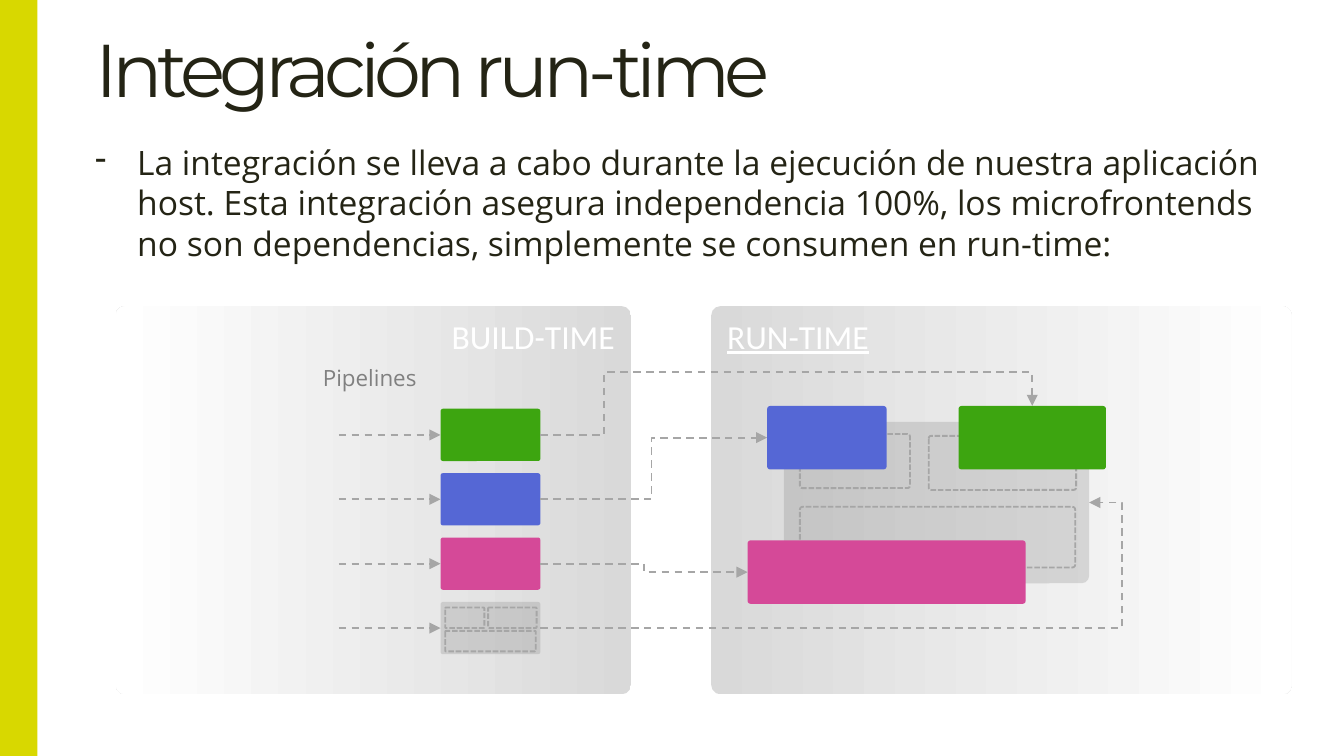
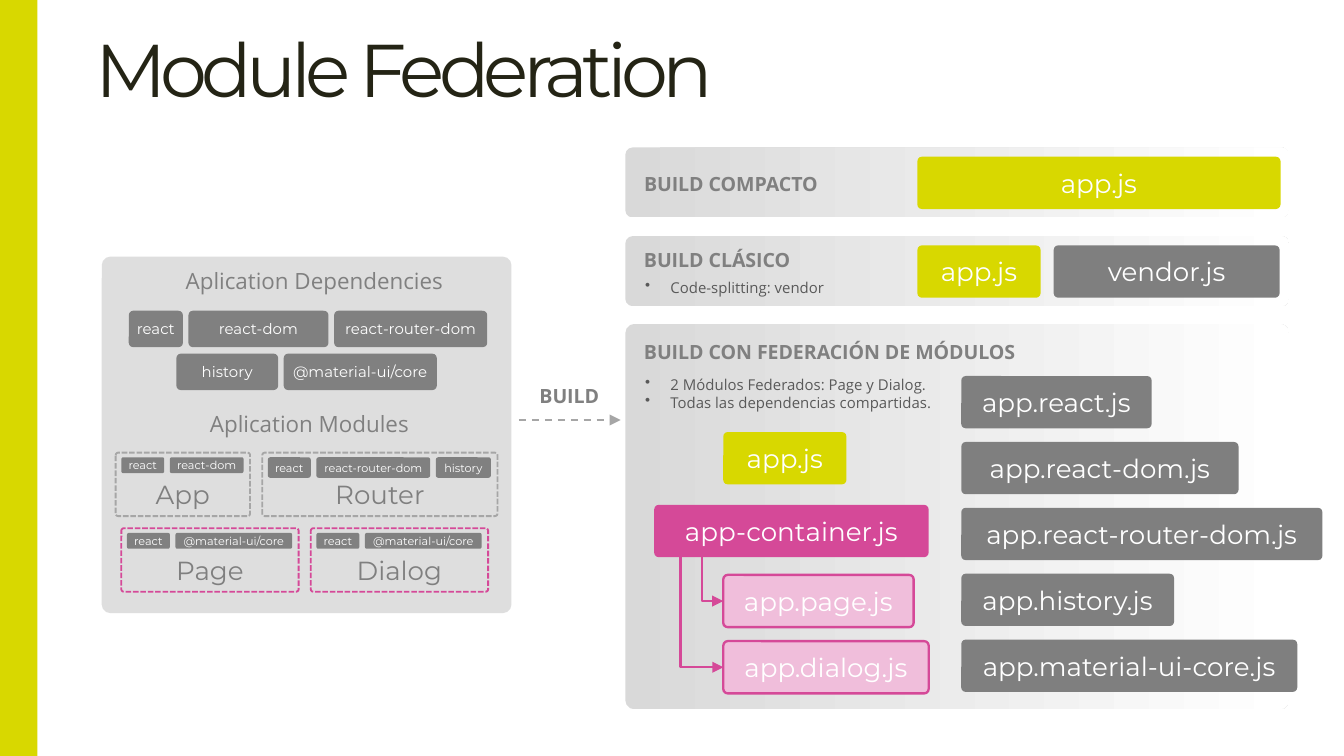
from lxml import etree
from pptx import Presentation
from pptx.dml.color import RGBColor
from pptx.enum import dml, shapes, text
from pptx.oxml.ns import qn
from pptx.util import Pt

WIDTH, HEIGHT = 720, 405
LIME, INK, WHITE = "D8D800", "242415", "FFFFFF"
GREEN, BLUE, PINK, PALE_PINK = "3DA510", "5567D5", "D54998", "F0BEDB"
GRAY, LABEL_GRAY, LINE_GRAY, NOTE_GRAY, PANEL_GRAY = "7F7F7F", "808080", "A6A6A6", "595959", "D9D9D9"
TITLE_FONT, BODY_FONT, PANEL_FONT = "Montserrat", "Open Sans", "Calibri"
DEFAULT_INSETS = (7.2, 3.6, 7.2, 3.6)
LABEL_INSETS = (6, 6, 6, 6)
TAG_INSETS = (3, 3, 3, 3)
ALIGN, ANCHOR = text.PP_ALIGN, text.MSO_ANCHOR


# Geometry
def color(hex_string):
    return RGBColor.from_string(hex_string)


def inside(box, left, top, width, height):
    return box[0] + left, box[1] + top, width, height


def left_middle(box):
    return box[0], box[1] + box[3] / 2


def right_middle(box):
    return box[0] + box[2], box[1] + box[3] / 2


def top_middle(box):
    return box[0] + box[2] / 2, box[1]


# Text
def set_frame(frame, anchor, insets):
    frame.vertical_anchor = anchor
    frame.margin_left, frame.margin_top, frame.margin_right, frame.margin_bottom = map(Pt, insets)


def add_run(paragraph, words, size, font, hex_string, bold=None, underline=None):
    run = paragraph.add_run()
    run.text = words
    run.font.size = Pt(size)
    run.font.name = font
    run.font.color.rgb = color(hex_string)
    run.font.bold = bold
    run.font.underline = underline
    return run


def add_label(slide, box, words, size=12, bold=None):
    shape = slide.shapes.add_textbox(*map(Pt, box))
    frame = shape.text_frame
    set_frame(frame, ANCHOR.MIDDLE, LABEL_INSETS)
    frame.word_wrap = False
    frame.auto_size = text.MSO_AUTO_SIZE.SHAPE_TO_FIT_TEXT
    add_run(frame.paragraphs[0], words, size, BODY_FONT, LABEL_GRAY, bold)


def add_bullets(slide, box, lines, size, hex_string, bullet, indent, insets):
    frame = slide.shapes.add_textbox(*map(Pt, box)).text_frame
    set_frame(frame, ANCHOR.TOP, insets)
    frame.word_wrap = True
    for index, line in enumerate(lines):
        paragraph = frame.add_paragraph() if index else frame.paragraphs[0]
        properties = paragraph._p.get_or_add_pPr()
        properties.set("marL", str(Pt(indent)))
        properties.set("indent", str(-Pt(indent)))
        etree.SubElement(properties, qn("a:buChar")).set("char", bullet)
        add_run(paragraph, line, size, BODY_FONT, hex_string)


# Boxes
def add_box(slide, box, fill=None, line=None, line_width=1, dashed=False, corner=0.047,
            alpha=None, kind=shapes.MSO_SHAPE.ROUNDED_RECTANGLE):
    shape = slide.shapes.add_shape(kind, *map(Pt, box))
    shape.shadow.inherit = False
    if len(shape.adjustments):
        shape.adjustments[0] = corner
    if fill:
        shape.fill.solid()
        shape.fill.fore_color.rgb = color(fill)
    else:
        shape.fill.background()
    if alpha:
        fill_color = shape._element.xpath("./p:spPr/a:solidFill/a:srgbClr")[0]
        etree.SubElement(fill_color, qn("a:alpha")).set("val", str(alpha * 1000))
    if line:
        shape.line.color.rgb = color(line)
        shape.line.width = Pt(line_width)
        if dashed:
            shape.line.dash_style = dml.MSO_LINE.SQUARE_DOT
    else:
        shape.line.fill.background()
    return shape


def add_slot(slide, box, line=LINE_GRAY, corner=0.047):
    return add_box(slide, box, line=line, dashed=True, corner=corner)


def write_centred(shape, words, size, hex_string=WHITE, insets=DEFAULT_INSETS):
    set_frame(shape.text_frame, ANCHOR.MIDDLE, insets)
    paragraph = shape.text_frame.paragraphs[0]
    paragraph.alignment = ALIGN.CENTER
    add_run(paragraph, words, size, TITLE_FONT, hex_string)


def add_panel(slide, box, angle=0, corner=0.024):
    shape = add_box(slide, box, corner=corner)
    shape.fill.gradient()
    shape.fill.gradient_angle = angle
    for stop, hex_string in zip(shape.fill.gradient_stops, (PANEL_GRAY, WHITE)):
        stop.color.rgb = color(hex_string)
    return shape


def add_file(slide, box, words, fill=GRAY, line=None):
    shape = add_box(slide, box, fill, line, line_width=1.25, corner=0.086)
    write_centred(shape, words, 14)


def add_tag_row(slide, left, top, height, tags, size):
    for words, width in tags:
        shape = add_box(slide, (left, top, width, height), LABEL_GRAY, corner=0.12)
        write_centred(shape, words, size, insets=TAG_INSETS)
        left += width + 3


# Arrows
def add_arrow(slide, start, end, kind=shapes.MSO_CONNECTOR.STRAIGHT, line=LINE_GRAY, width=1, dashed=True):
    connector = slide.shapes.add_connector(kind, *map(Pt, (*start, *end)))
    connector.line.color.rgb = color(line)
    connector.line.width = Pt(width)
    if dashed:
        connector.line.dash_style = dml.MSO_LINE.DASH
    properties = connector._element.spPr
    etree.SubElement(properties.find(qn("a:ln")), qn("a:tailEnd")).set("type", "triangle")
    etree.SubElement(properties, qn("a:effectLst"))
    return connector


def add_elbow(slide, start, end, *bends):
    connector = add_arrow(slide, start, end, shapes.MSO_CONNECTOR.ELBOW)
    geometry = connector._element.spPr.find(qn("a:prstGeom"))
    geometry.set("prst", f"bentConnector{len(bends) + 2}")
    for number, bend in enumerate(bends, 1):
        guide = etree.SubElement(geometry.find(qn("a:avLst")), qn("a:gd"))
        guide.set("name", f"adj{number}")
        guide.set("fmla", f"val {round(bend * 100000)}")


def add_drop(slide, start, end):
    """Go down from start, then right to end: a one-bend connector turned by 270 degrees."""
    center_x, center_y = (start[0] + end[0]) / 2, (start[1] + end[1]) / 2
    half_run, half_drop = (end[0] - start[0]) / 2, (end[1] - start[1]) / 2
    connector = add_arrow(slide, (center_x + half_drop, center_y - half_run),
                          (center_x - half_drop, center_y + half_run),
                          shapes.MSO_CONNECTOR.ELBOW, PINK, 1.25, False)
    properties = connector._element.spPr
    properties.find(qn("a:prstGeom")).set("prst", "bentConnector2")
    properties.find(qn("a:xfrm")).set("rot", str(270 * 60000))


# Shared slide frame
def start_slide(presentation, words):
    slide = presentation.slides.add_slide(presentation.slide_layouts[5])
    title = slide.shapes.title
    title.left, title.top, title.width, title.height = map(Pt, (51, 0, 649.5, 64))
    frame = title.text_frame
    set_frame(frame, ANCHOR.BOTTOM, (0, 3.6, 7.2, 3.6))
    frame.word_wrap = True
    frame.auto_size = text.MSO_AUTO_SIZE.NONE
    paragraph = frame.paragraphs[0]
    paragraph.alignment = ALIGN.LEFT
    run = add_run(paragraph, words, 40, TITLE_FONT, INK)
    run._r.get_or_add_rPr().set("spc", "-300")
    add_box(slide, (0, 0, 20, HEIGHT), LIME, kind=shapes.MSO_SHAPE.RECTANGLE)
    return slide


# Run-time integration
def draw_phase(slide, box, words, angle, align, underline=None):
    frame = add_panel(slide, box, angle).text_frame
    set_frame(frame, ANCHOR.TOP, DEFAULT_INSETS)
    frame.paragraphs[0].alignment = align
    add_run(frame.paragraphs[0], words, 18, PANEL_FONT, WHITE, underline=underline)


def draw_host(slide, box, slots):
    shape = add_box(slide, box, GRAY, alpha=25)
    for slot in slots:
        add_slot(slide, inside(box, *slot))
    return shape


def draw_build_time(slide, box):
    draw_phase(slide, box, "BUILD-TIME", 180, ALIGN.RIGHT)
    add_label(slide, inside(box, 105, 25.5, 66, 26), "Pipelines")
    boxes = [inside(box, 174, 55 + 34.5 * row, 53.5, 28) for row in range(4)]
    targets = [add_box(slide, part, fill) for part, fill in zip(boxes, (GREEN, BLUE, PINK))]
    targets.append(draw_host(slide, boxes[3], [(2.5, 3, 21, 11), (25.5, 3, 26, 11), (2.5, 15.5, 48.5, 11)]))
    for part, target in zip(boxes, targets):
        x, y = left_middle(part)
        add_arrow(slide, (x - 54.5, y), (x, y)).end_connect(target, 1)
    return boxes


def draw_run_time(slide, box):
    draw_phase(slide, box, "RUN-TIME", 0, ALIGN.LEFT, True)
    host = inside(box, 39, 62, 163.5, 86.5)
    draw_host(slide, host, [(8.5, 6.5, 59, 29), (77.5, 7.5, 79, 29), (8.5, 45.5, 147.5, 32.5)])
    green = inside(box, 132.5, 53.5, 79, 34)
    blue = inside(box, 30, 53.5, 64, 34)
    pink = inside(box, 19.5, 125.5, 149, 34)
    for part, fill in ((green, GREEN), (blue, BLUE), (pink, PINK)):
        add_box(slide, part, fill)
    return green, blue, pink, host


def build_integration_slide(presentation):
    slide = start_slide(presentation, "Integración run-time")
    add_bullets(slide, (51, 72.5, 649.5, 73), [
        "La integración se lleva a cabo durante la ejecución de nuestra aplicación host. "
        "Esta integración asegura independencia 100%, los microfrontends no son dependencias, "
        "simplemente se consumen en run-time:"], 18, INK, "-", 22.5, (0, 3.6, 7.2, 3.6))
    built = draw_build_time(slide, (62, 164, 276, 208))
    running = draw_run_time(slide, (381, 164, 311, 208))
    ends = [top_middle(running[0]), *map(left_middle, running[1:3]), right_middle(running[3])]
    bends = [(0.13, 2.17), (0.49,), (0.5,), (1.06,)]
    for source, end, bend in zip(built, ends, bends):
        add_elbow(slide, right_middle(source), end, *bend)


# Module federation
def draw_application(slide, box):
    left, top = box[:2]
    add_box(slide, box, GRAY, corner=0.024, alpha=25)
    add_label(slide, inside(box, 39, 0, 151, 26), "Aplication Dependencies")
    add_label(slide, inside(box, 52, 76.5, 119.5, 26), "Aplication Modules")
    add_tag_row(slide, left + 14.5, top + 29, 19.5, [("react", 29), ("react-dom", 75), ("react-router-dom", 82)], 8)
    add_tag_row(slide, left + 40, top + 52, 19.5, [("history", 54.5), ("@material-ui/core", 82)], 8)
    shared = [("react", 23), ("@material-ui/core", 62.5)]
    modules = [
        ("App", 7.5, 105, 72, LINE_GRAY, 8.5, [("react", 23), ("react-dom", 39.5)]),
        ("Router", 86, 105, 126, LINE_GRAY, 11, [("react", 23), ("react-router-dom", 61), ("history", 29.5)]),
        ("Page", 10.5, 145.5, 95, PINK, 8.5, shared),
        ("Dialog", 112, 145.5, 95, PINK, 8.5, shared),
    ]
    for words, x, y, width, line, tag_height, tags in modules:
        module = inside(box, x, y, width, 34)
        write_centred(add_slot(slide, module, line, 0.038), words, 14, GRAY, (7.2, 14.4, 7.2, 3.6))
        add_tag_row(slide, module[0] + 3, module[1] + 2.5, tag_height, tags, 6)


def draw_build(slide, box, heading, heading_top, heading_width, corner, notes=(), notes_top=0):
    add_panel(slide, box, corner=corner)
    add_label(slide, inside(box, 4, heading_top, heading_width, 24.5), heading, 10.5, True)
    if notes:
        add_bullets(slide, inside(box, 2, notes_top, 174, 7.5 + 9.5 * len(notes)), notes, 8, NOTE_GRAY,
                    "•", 13.5, (8.64, 3.6, 7.2, 3.6))


def draw_compact(slide, box):
    draw_build(slide, box, "BUILD COMPACTO", 7, 107, 0.105)
    add_file(slide, inside(box, 156.5, 5, 194.5, 28), "app.js", LIME)


def draw_classic(slide, box):
    draw_build(slide, box, "BUILD CLÁSICO", 0.5, 91.5, 0.105, ["Code-splitting: vendor"], 19)
    add_file(slide, inside(box, 156.5, 5, 66, 28), "app.js", LIME)
    add_file(slide, inside(box, 229.5, 5, 121, 28), "vendor.js")


def draw_federated(slide, box):
    draw_build(slide, box, "BUILD CON FEDERACIÓN DE MÓDULOS", 2.5, 219, 0.024,
               ["2 Módulos Federados: Page y Dialog.", "Todas las dependencias compartidas."], 24)
    add_file(slide, inside(box, 52.5, 58, 66, 28), "app.js", LIME)
    dependencies = [("react", 102), ("react-dom", 148.5), ("react-router-dom", 193.5),
                    ("history", 114), ("material-ui-core", 180)]
    for row, (name, width) in enumerate(dependencies):
        add_file(slide, inside(box, 180, 28 + 35.3 * row, width, 28), f"app.{name}.js")
    container = inside(box, 15.5, 97, 147, 28)
    add_file(slide, container, "app-container.js", PINK)
    for name, top, width, stem in (("page", 134.5, 102, 25.5), ("dialog", 170, 110, 14)):
        exposed = inside(box, 52.5, top, width, 28)
        add_file(slide, exposed, f"app.{name}.js", PALE_PINK, PINK)
        add_drop(slide, (container[0] + stem, container[1] + container[3]), left_middle(exposed))


def build_federation_slide(presentation):
    slide = start_slide(presentation, "Module Federation")
    draw_application(slide, (54.5, 137.5, 219.5, 191))
    add_label(slide, (283, 199.5, 44.5, 24.5), "BUILD", 10.5, True)
    add_arrow(slide, (278, 225), (332.5, 225))
    draw_compact(slide, (335, 79, 355.5, 37.5))
    draw_classic(slide, (335, 126.5, 355.5, 37.5))
    draw_federated(slide, (335, 173.5, 355.5, 206.5))


def main():
    presentation = Presentation()
    presentation.slide_width, presentation.slide_height = Pt(WIDTH), Pt(HEIGHT)
    build_integration_slide(presentation)
    build_federation_slide(presentation)
    presentation.save("out.pptx")


if __name__ == "__main__":
    main()
